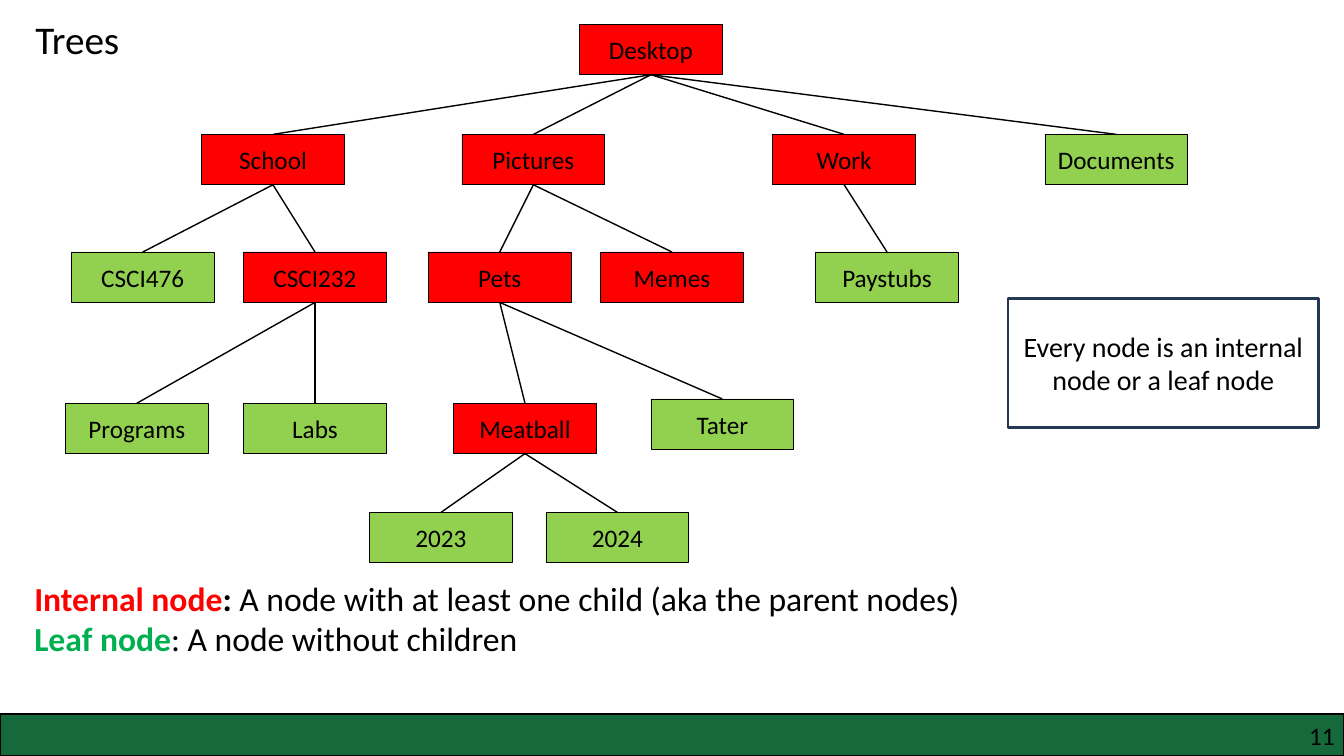
from lxml import etree
from pptx import Presentation
from pptx.dml.color import RGBColor
from pptx.enum.shapes import MSO_CONNECTOR, MSO_SHAPE
from pptx.enum.text import MSO_ANCHOR, MSO_AUTO_SIZE, PP_ALIGN
from pptx.oxml.ns import qn
from pptx.util import Inches, Pt

RECTANGLE = MSO_SHAPE.RECTANGLE
STRAIGHT = MSO_CONNECTOR.STRAIGHT
LEFT, CENTER, RIGHT = PP_ALIGN.LEFT, PP_ALIGN.CENTER, PP_ALIGN.RIGHT
TOP, MIDDLE = MSO_ANCHOR.TOP, MSO_ANCHOR.MIDDLE
NO_AUTOFIT = MSO_AUTO_SIZE.NONE
BOTTOM_SIDE, TOP_SIDE = 2, 0


class Theme:
    font = "Calibri"
    black = "000000"
    white = "FFFFFF"
    internal = "FF0000"
    leaf = "92D050"
    leaf_term = "00B050"
    footer = "15693B"
    note_edge = "233953"
    title_size, definition_size, note_size, node_size = 28, 24, 20, 18


deck = Presentation()
deck.slide_width, deck.slide_height = Inches(13.333), Inches(7.5)
page = deck.slides.add_slide(deck.slide_layouts[5])

# The slide is a grid of 160 columns by 90 rows
COLUMN = deck.slide_width / 160
ROW = deck.slide_height / 90


def grid(left, top, width, height):
    return [int(left * COLUMN), int(top * ROW), int(width * COLUMN), int(height * ROW)]


def write(para, text, size=Theme.node_size, color=Theme.black, bold=False, align=CENTER):
    para.alignment = align
    span = para.add_run()
    span.text = text
    span.font.name = Theme.font
    span.font.size = Pt(size)
    span.font.bold = bold
    span.font.color.rgb = RGBColor.from_string(color)


# Title
title = page.shapes.title
title.left, title.top, title.width, title.height = grid(3, 1.2, 14.5, 6.8)
title.text_frame.word_wrap = False
title.text_frame.auto_size = NO_AUTOFIT
title.text_frame.vertical_anchor = TOP
write(title.text_frame.paragraphs[0], "Trees", size=Theme.title_size, align=LEFT)

# Nodes: name, parent, left column, top row, fill
nodes = [
    ("Desktop", None, 69, 2.9, Theme.internal),
    ("School", "Desktop", 24, 16, Theme.internal),
    ("Pictures", "Desktop", 55, 16, Theme.internal),
    ("Work", "Desktop", 92, 16, Theme.internal),
    ("Documents", "Desktop", 124.4, 16, Theme.leaf),
    ("CSCI476", "School", 8.5, 30, Theme.leaf),
    ("CSCI232", "School", 29, 30, Theme.internal),
    ("Pets", "Pictures", 51, 30, Theme.internal),
    ("Memes", "Pictures", 71.5, 30, Theme.internal),
    ("Paystubs", "Work", 97.1, 30, Theme.leaf),
    ("Programs", "CSCI232", 7.8, 48, Theme.leaf),
    ("Labs", "CSCI232", 29, 48, Theme.leaf),
    ("Meatball", "Pets", 54, 48, Theme.internal),
    ("Tater", "Pets", 77.5, 47.5, Theme.leaf),
    ("2023", "Meatball", 44, 61, Theme.leaf),
    ("2024", "Meatball", 65, 61, Theme.leaf),
]

# Filled boxes: text, grid place, fill, edge colour, edge width, text size
boxes = [("", (0, 85, 160, 5), Theme.footer, Theme.black, 1, Theme.node_size)]
boxes += [(name, (left, top, 17, 6), fill, Theme.black, 0.5, Theme.node_size)
          for name, parent, left, top, fill in nodes]
boxes.append(("Every node is an internal node or a leaf node", (120, 35.5, 37, 15.4),
              Theme.white, Theme.note_edge, 2, Theme.note_size))

drawn = {}
for text, place, fill, edge, edge_width, size in boxes:
    box = page.shapes.add_shape(RECTANGLE, *grid(*place))
    box.shadow.inherit = False
    box.fill.solid()
    box.fill.fore_color.rgb = RGBColor.from_string(fill)
    box.line.color.rgb = RGBColor.from_string(edge)
    box.line.width = Pt(edge_width)
    if text:
        box.text_frame.word_wrap = True
        box.text_frame.vertical_anchor = MIDDLE
        write(box.text_frame.paragraphs[0], text, size=size)
    drawn[text] = box

# Branches from each parent to its child
for name, parent, *_ in nodes:
    if parent:
        branch = page.shapes.add_connector(STRAIGHT, 0, 0, 0, 0)
        branch.begin_connect(drawn[parent], BOTTOM_SIDE)
        branch.end_connect(drawn[name], TOP_SIDE)
        branch.line.color.rgb = RGBColor.from_string(Theme.black)
        branch.line.width = Pt(1)
        etree.SubElement(branch.element.spPr, qn("a:effectLst"))

# Definitions
definitions = page.shapes.add_textbox(*grid(2.9, 68.2, 129.1, 10.9)).text_frame
definitions.word_wrap = True
internal_para, leaf_para = definitions.paragraphs[0], definitions.add_paragraph()
for para, text, color, bold in [
    (internal_para, "Internal node", Theme.internal, True),
    (internal_para, ": ", Theme.black, True),
    (internal_para, "A node with at least one child (aka the parent nodes)", Theme.black, False),
    (leaf_para, "Leaf node", Theme.leaf_term, True),
    (leaf_para, ": A node without children", Theme.black, False),
]:
    write(para, text, size=Theme.definition_size, color=color, bold=bold, align=LEFT)

# Page number
number = page.shapes.add_textbox(*grid(122, 85.8, 36.9, 3.6)).text_frame
number.word_wrap = True
number.margin_left = number.margin_right = number.margin_top = number.margin_bottom = 0
write(number.paragraphs[0], "11", align=RIGHT)

deck.save("out.pptx")
